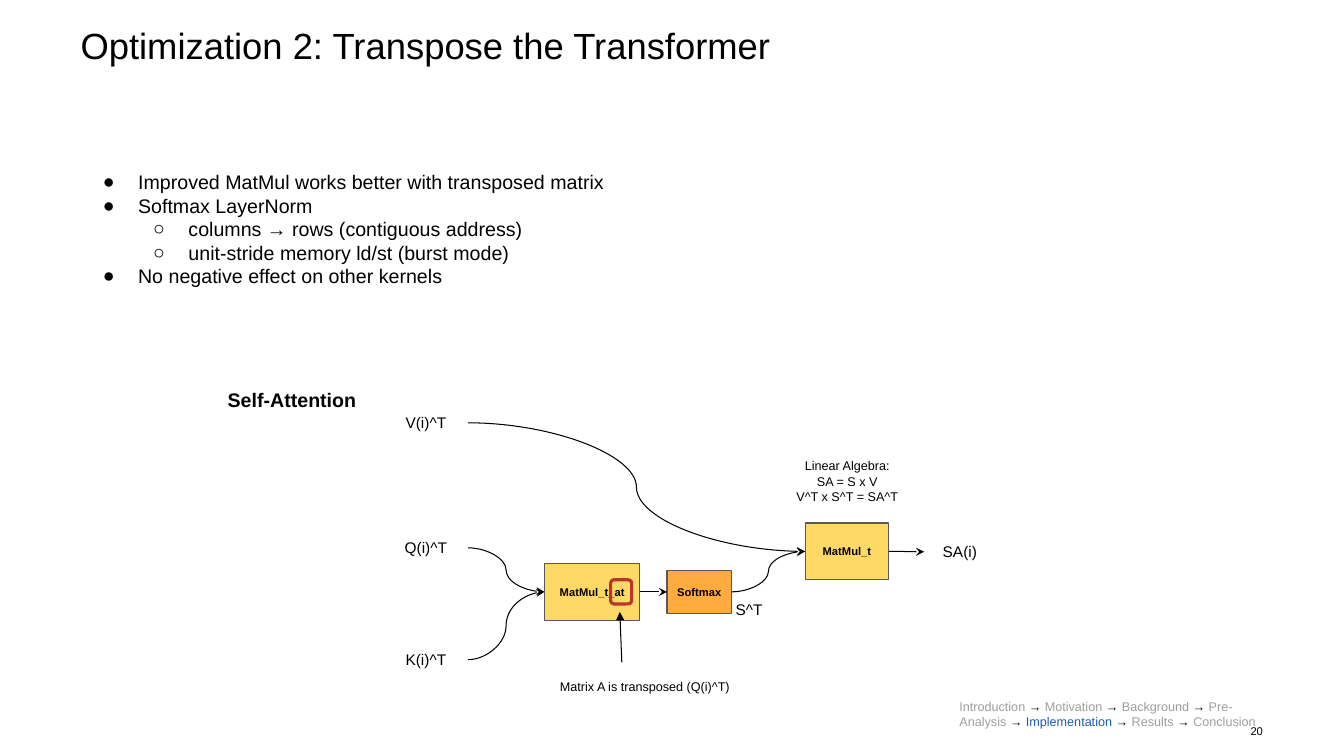
"""Build the slide on transposing the transformer's self-attention."""
from dataclasses import dataclass

from lxml.etree import SubElement
from pptx import Presentation
from pptx.dml.color import RGBColor
from pptx.enum.shapes import MSO_CONNECTOR, MSO_SHAPE
from pptx.enum.text import MSO_ANCHOR, MSO_AUTO_SIZE, PP_ALIGN
from pptx.oxml.ns import qn
from pptx.shapes.autoshape import Shape
from pptx.shapes.connector import Connector
from pptx.slide import Slide
from pptx.text.text import Font, TextFrame
from pptx.util import Cm, Pt

COLORS = {
    "text": "000000",
    "matmul": "FFD966",
    "softmax": "FFAB40",
    "outline": "595959",
    "highlight": "B7352D",
    "muted": "9E9E9E",
    "current": "215CAF",
}
LEFT_SITE, RIGHT_SITE = 1, 3


@dataclass(frozen=True)
class Label:
    text: str
    left: float
    top: float
    width: float
    height: float = 0.99
    size: float = 11
    bold: bool = False


@dataclass(frozen=True)
class Block:
    text: str
    left: float
    top: float
    width: float
    height: float
    fill: str


@dataclass(frozen=True)
class Bullet:
    text: str
    level: int = 0


LABELS = [
    Label("Q(i)^T", 9.68, 13.31, 2.11),
    Label("V(i)^T", 9.68, 10.16, 2.11),
    Label("K(i)^T", 9.68, 16.13, 2.11),
    Label("S^T", 18.26, 14.88, 1.24),
    Label("SA(i)", 23.29, 13.41, 1.8),
    Label("Matrix A is transposed (Q(i)^T)", 13.56, 16.87, 5.38, 0.89, 9),
    Label("Self-Attention", 4.67, 9.53, 5.38, 1.12, 14, True),
    Label("Linear Algebra:\nSA = S x V\nV^T x S^T = SA^T", 17.78, 11.3, 7.14, 1.68, 9),
]
BLOCKS = [
    Block("MatMul_t_at", 13.72, 14.2, 2.41, 1.43, "matmul"),
    Block("Softmax", 16.81, 14.38, 1.63, 1.07, "softmax"),
    Block("MatMul_t", 20.29, 13.18, 2.11, 1.43, "matmul"),
]
FLOWS = [
    ("Q(i)^T", "MatMul_t_at"),
    ("K(i)^T", "MatMul_t_at"),
    ("MatMul_t_at", "Softmax"),
    ("V(i)^T", "MatMul_t"),
    ("Softmax", "MatMul_t"),
    ("MatMul_t", "SA(i)"),
]
BULLETS = [
    Bullet("Improved MatMul works better with transposed matrix"),
    Bullet("Softmax LayerNorm"),
    Bullet("columns → rows (contiguous address)", 1),
    Bullet("unit-stride memory ld/st (burst mode)", 1),
    Bullet("No negative effect on other kernels"),
]
STAGES = ["Introduction", "Motivation", "Background", "Pre-Analysis",
          "Implementation", "Results", "Conclusion"]
CURRENT_STAGE = "Implementation"


def color(name: str) -> RGBColor:
    """Return a named colour."""
    return RGBColor.from_string(COLORS[name])


def style_font(font: Font, size: float, bold: bool = False) -> None:
    """Apply the slide's typeface in black."""
    font.name = "Arial"
    font.size = Pt(size)
    font.bold = bold
    font.color.rgb = color("text")


def place(shape: Shape, left: float, top: float, width: float, height: float) -> None:
    """Move and size a shape in centimetres."""
    shape.left, shape.top = Cm(left), Cm(top)
    shape.width, shape.height = Cm(width), Cm(height)


def set_frame(frame: TextFrame, inset: float, anchor: MSO_ANCHOR = MSO_ANCHOR.TOP) -> None:
    """Set margins, wrapping and anchoring of a text frame."""
    frame.margin_left = frame.margin_right = Cm(inset)
    frame.margin_top = frame.margin_bottom = Cm(inset)
    frame.word_wrap = True
    frame.auto_size = MSO_AUTO_SIZE.NONE
    frame.vertical_anchor = anchor


def write(frame: TextFrame, text: str, size: float, bold: bool = False,
          align: PP_ALIGN = PP_ALIGN.CENTER) -> None:
    """Fill a frame with one paragraph per line of text."""
    frame.text = text
    for paragraph in frame.paragraphs:
        paragraph.alignment = align
        style_font(paragraph.font, size, bold)


def add_label(page: Slide, label: Label) -> Shape:
    """Add a centred text label."""
    box = page.shapes.add_textbox(0, 0, 0, 0)
    place(box, label.left, label.top, label.width, label.height)
    set_frame(box.text_frame, 0.25)
    write(box.text_frame, label.text, label.size, label.bold)
    return box


def add_block(page: Slide, block: Block) -> Shape:
    """Add a filled kernel block."""
    box = page.shapes.add_shape(MSO_SHAPE.RECTANGLE, 0, 0, 0, 0)
    place(box, block.left, block.top, block.width, block.height)
    box.shadow.inherit = False
    box.fill.solid()
    box.fill.fore_color.rgb = color(block.fill)
    box.line.color.rgb = color("outline")
    box.line.width = Pt(0.75)
    set_frame(box.text_frame, 0.25, MSO_ANCHOR.MIDDLE)
    box.text_frame.word_wrap = False
    write(box.text_frame, block.text, 8, True)
    return box


def style_arrow(arrow: Connector, head: str) -> None:
    """Give a connector a thin black line and an arrowhead."""
    arrow.line.color.rgb = color("text")
    arrow.line.width = Pt(0.75)
    SubElement(arrow.line._get_or_add_ln(), qn("a:tailEnd"), type=head)
    SubElement(arrow._element.spPr, qn("a:effectLst"))


def add_flow(page: Slide, source: Shape, target: Shape) -> None:
    """Join two shapes with a curved arrow."""
    arrow = page.shapes.add_connector(MSO_CONNECTOR.CURVE, 0, 0, 0, 0)
    arrow.begin_connect(source, RIGHT_SITE)
    arrow.end_connect(target, LEFT_SITE)
    style_arrow(arrow, "stealth")


def add_highlight(page: Slide) -> None:
    """Frame the kernel suffix and point at it from its note."""
    arrow = page.shapes.add_connector(
        MSO_CONNECTOR.STRAIGHT, Cm(15.67), Cm(16.69), Cm(15.62), Cm(15.42))
    style_arrow(arrow, "triangle")
    ring = page.shapes.add_shape(MSO_SHAPE.ROUNDED_RECTANGLE, 0, 0, 0, 0)
    place(ring, 15.39, 14.61, 0.53, 0.61)
    ring.shadow.inherit = False
    ring.fill.background()
    ring.line.color.rgb = color("highlight")
    ring.line.width = Pt(2.25)


def fill_title(page: Slide) -> None:
    """Write the slide title."""
    title = page.shapes.title
    place(title, 2.03, 0.71, 29.79, 2.49)
    set_frame(title.text_frame, 0)
    write(title.text_frame, "Optimization 2: Transpose the Transformer", 26,
          align=PP_ALIGN.LEFT)
    title.text_frame.paragraphs[0].line_spacing = 0.9


def fill_body(page: Slide) -> None:
    """Write the bulleted list."""
    body = page.placeholders[1]
    place(body, 1.96, 4.04, 18.14, 3.51)
    frame = body.text_frame
    set_frame(frame, 0.25)
    frame.text = "\n".join(bullet.text for bullet in BULLETS)
    for paragraph, bullet in zip(frame.paragraphs, BULLETS):
        paragraph.level = bullet.level
        paragraph.space_before = Pt(0)
        properties = paragraph._p.get_or_add_pPr()
        properties.set("marL", str(Cm(1.27 * (bullet.level + 1))))
        properties.set("indent", str(Cm(-0.89)))
        SubElement(properties, qn("a:buFont"), typeface="Arial")
        SubElement(properties, qn("a:buChar"), char="●○"[bullet.level])
        style_font(paragraph.font, 14)


def add_footer(page: Slide) -> None:
    """Add the section trail and the page number."""
    number = page.shapes.add_textbox(0, 0, 0, 0)
    place(number, 30.94, 18.11, 0.89, 0.61)
    set_frame(number.text_frame, 0, MSO_ANCHOR.MIDDLE)
    write(number.text_frame, "20", 8, align=PP_ALIGN.RIGHT)
    trail = page.shapes.add_textbox(0, 0, 0, 0)
    place(trail, 23.93, 17.37, 8.18, 1.68)
    set_frame(trail.text_frame, 0.25)
    paragraph = trail.text_frame.paragraphs[0]
    style_font(paragraph.font, 9)
    for index, stage in enumerate(STAGES):
        if index:
            paragraph.add_run().text = " → "
        span = paragraph.add_run()
        span.text = stage
        span.font.color.rgb = color("current" if stage == CURRENT_STAGE else "muted")


def main() -> None:
    """Build and save the deck."""
    deck = Presentation()
    deck.slide_width, deck.slide_height = Cm(33.87), Cm(19.05)
    page = deck.slides.add_slide(deck.slide_layouts[1])
    fill_title(page)
    fill_body(page)
    nodes = {label.text: add_label(page, label) for label in LABELS}
    nodes |= {block.text: add_block(page, block) for block in BLOCKS}
    for source, target in FLOWS:
        add_flow(page, nodes[source], nodes[target])
    add_highlight(page)
    add_footer(page)
    deck.save("out.pptx")


if __name__ == "__main__":
    main()
